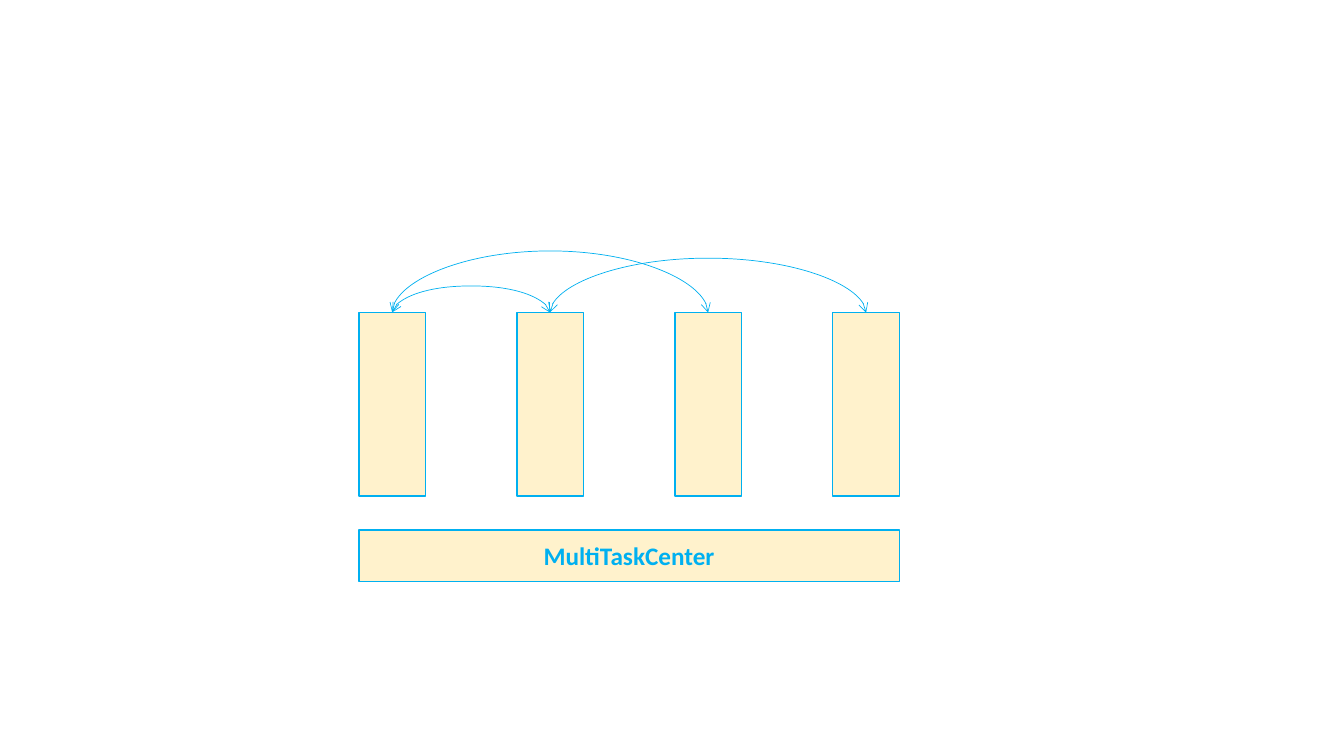
import pptx
import pptx.dml.color
import pptx.enum.shapes
import pptx.enum.text
import pptx.oxml
import pptx.oxml.ns
import pptx.util

SLIDE_WIDTH, SLIDE_HEIGHT = 13.33, 7.5
INK, CREAM = "00B0F0", "FFF2CC"
LEFT, TOTAL_WIDTH = 3.56, 5.36
COLUMN_COUNT, COLUMN_WIDTH = 4, 0.66
COLUMN_TOP, COLUMN_HEIGHT = 3.1, 1.82
COLUMN_STEP = (TOTAL_WIDTH - COLUMN_WIDTH) / (COLUMN_COUNT - 1)
CENTER_TOP, CENTER_HEIGHT = 5.26, 0.51
LABEL_FORMAT = {"name": "Calibri", "size": pptx.util.Pt(18), "bold": True}
ARCS = [(0, 1, 0.26), (0, 2, 0.6), (1, 3, 0.53)]
TOP_SITE = 0


def color(value):
    return pptx.dml.color.RGBColor.from_string(value)


def apply_format(target, values):
    for name, value in values.items():
        setattr(target, name, value)


def add_box(slide, left, top, width, height):
    shape = slide.shapes.add_shape(
        pptx.enum.shapes.MSO_SHAPE.RECTANGLE,
        *(pptx.util.Inches(length) for length in (left, top, width, height)))
    shape.shadow.inherit = False
    shape.fill.solid()
    shape.fill.fore_color.rgb = color(CREAM)
    shape.line.color.rgb = color(INK)
    shape.line.width = pptx.util.Pt(1)
    return shape


def add_label(shape, text):
    shape.text_frame.vertical_anchor = pptx.enum.text.MSO_ANCHOR.MIDDLE
    paragraph = shape.text_frame.paragraphs[0]
    paragraph.alignment = pptx.enum.text.PP_ALIGN.CENTER
    run = paragraph.add_run()
    run.text = text
    apply_format(run.font, LABEL_FORMAT)
    run.font.color.rgb = color(INK)


def add_arc(slide, start, end, rise):
    connector = slide.shapes.add_connector(
        pptx.enum.shapes.MSO_CONNECTOR.CURVE, 0, 0, 0, 0)
    connector.begin_connect(start, TOP_SITE)
    connector.end_connect(end, TOP_SITE)
    thickness = pptx.util.Pt(0.25)
    span = end.left - start.left
    middle = start.left + (start.width + span) // 2
    apply_format(connector, {
        "left": middle - thickness // 2, "top": start.top - span // 2,
        "width": thickness, "height": span})
    connector.line.color.rgb = color(INK)
    connector.line.width = pptx.util.Pt(0.5)

    properties = connector._element.spPr
    properties.xfrm.set("rot", str(270 * 60000))
    bend = round(pptx.util.Inches(rise) / thickness * 100000)
    guides = properties.find(pptx.oxml.ns.qn("a:prstGeom")).get_or_add_avLst()
    guide = pptx.oxml.parse_xml(
        f'<a:gd {pptx.oxml.ns.nsdecls("a")} name="adj1" fmla="val {bend}"/>')
    guides.append(guide)
    line = connector.line._get_or_add_ln()
    for tag in ("headEnd", "tailEnd"):
        line.append(pptx.oxml.parse_xml(
            f'<a:{tag} {pptx.oxml.ns.nsdecls("a")} type="arrow"/>'))
    properties.append(pptx.oxml.parse_xml(
        f'<a:effectLst {pptx.oxml.ns.nsdecls("a")}/>'))


def main():
    presentation = pptx.Presentation()
    presentation.slide_width = pptx.util.Inches(SLIDE_WIDTH)
    presentation.slide_height = pptx.util.Inches(SLIDE_HEIGHT)
    slide = presentation.slides.add_slide(presentation.slide_layouts[6])
    tasks = [
        add_box(slide, LEFT + index * COLUMN_STEP, COLUMN_TOP,
                COLUMN_WIDTH, COLUMN_HEIGHT)
        for index in range(COLUMN_COUNT)]
    center = add_box(slide, LEFT, CENTER_TOP, TOTAL_WIDTH, CENTER_HEIGHT)
    add_label(center, "MultiTaskCenter")
    for start, end, rise in ARCS:
        add_arc(slide, tasks[start], tasks[end], rise)
    presentation.save("out.pptx")


main()
